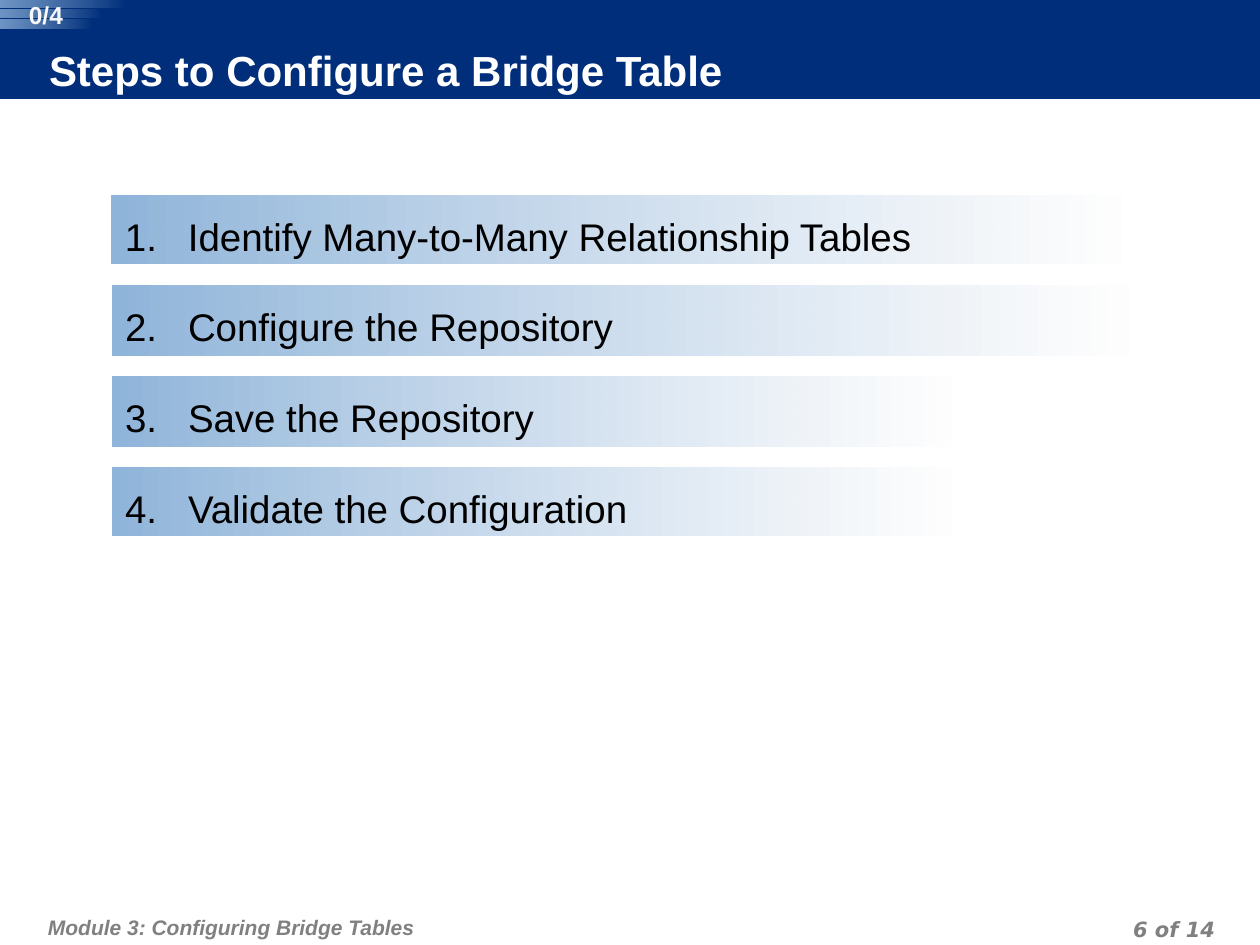
from dataclasses import dataclass
from typing import Optional

import pptx
import pptx.dml.color
import pptx.enum.shapes
import pptx.enum.text
import pptx.oxml
import pptx.oxml.ns
import pptx.util

EMU_PER_PX = 914400 / 126
Align = pptx.enum.text.PP_ALIGN
Anchor = pptx.enum.text.MSO_ANCHOR


@dataclass(frozen=True)
class Theme:
    navy: str = "002E7A"
    sky: str = "90B5DA"
    mist: str = "FEFEFE"
    white: str = "FFFFFF"
    counter: str = "F8F8F8"
    grey: str = "808080"
    black: str = "000000"
    font: str = "Arial"
    page_font: str = "DejaVu Sans"
    title_size: int = 24
    step_size: int = 22
    counter_size: int = 14
    footer_size: int = 12


THEME = Theme()


@dataclass(frozen=True)
class Box:
    left: int
    top: int
    width: int
    height: int


@dataclass(frozen=True)
class Stop:
    colour: str
    opacity: int = 100


@dataclass(frozen=True)
class Label:
    text: str
    box: Box
    size: int
    colour: str
    insets: tuple[int, int, int, int] = (0, 0, 0, 0)
    font: str = THEME.font
    bold: bool = True
    italic: bool = False
    align: Align = Align.LEFT
    anchor: Anchor = Anchor.TOP
    line_points: Optional[int] = None


@dataclass(frozen=True)
class Step:
    text: str
    box: Box


STEPS = [
    Step("Identify Many-to-Many Relationship Tables", Box(112, 196, 1010, 68)),
    Step("Configure the Repository", Box(112, 286, 1017, 70)),
    Step("Save the Repository", Box(112, 377, 839, 70)),
    Step("Validate the Configuration", Box(112, 468, 839, 68)),
]
STRIPES = [Box(0, 0, 127, 8), Box(0, 10, 103, 8), Box(0, 20, 92, 9)]
COUNTER = Label("0/4", Box(14, 0, 64, 29), THEME.counter_size, THEME.counter,
                align=Align.CENTER)
LABELS = [
    Label("Steps to Configure a Bridge Table", Box(49, 48, 992, 50),
          THEME.title_size, THEME.white, insets=(0, 0, 6, 6), anchor=Anchor.MIDDLE),
    Label("Module 3: Configuring Bridge Tables", Box(42, 895, 779, 50),
          THEME.footer_size, THEME.grey, insets=(6, 13, 6, 6), italic=True,
          line_points=18),
    Label("6 of 14", Box(927, 910, 294, 31), THEME.footer_size, THEME.grey,
          insets=(6, 0, 6, 0), font=THEME.page_font, italic=True,
          align=Align.RIGHT, line_points=18),
]


def px(length: int) -> pptx.util.Emu:
    return pptx.util.Emu(round(length * EMU_PER_PX))


def place(box: Box) -> tuple:
    return px(box.left), px(box.top), px(box.width), px(box.height)


def rgb(colour: str) -> pptx.dml.color.RGBColor:
    return pptx.dml.color.RGBColor.from_string(colour)


def add_bar(shapes, box: Box):
    bar = shapes.add_shape(pptx.enum.shapes.MSO_SHAPE.RECTANGLE, *place(box))
    bar.shadow.inherit = False
    bar.line.fill.background()
    return bar


def add_fading_bar(shapes, box: Box, right: Stop, left: Stop):
    bar = add_bar(shapes, box)
    bar.fill.gradient()
    bar.fill.gradient_angle = 180
    for grad_stop, stop in zip(bar.fill.gradient_stops, (right, left)):
        grad_stop.color.rgb = rgb(stop.colour)
    colours = bar.fill._xPr.iter(pptx.oxml.ns.qn("a:srgbClr"))
    for colour, stop in zip(list(colours), (right, left)):
        if stop.opacity < 100:
            alpha = pptx.oxml.parse_xml(
                f'<a:alpha {pptx.oxml.ns.nsdecls("a")} val="{stop.opacity * 1000}"/>')
            colour.append(alpha)
    return bar


def set_insets(frame, insets: tuple[int, int, int, int]) -> None:
    """Insets run left, top, right, bottom."""
    frame.margin_left, frame.margin_top, frame.margin_right, frame.margin_bottom = (
        px(inset) for inset in insets)


def style(paragraph, font: str, size: int, colour: str) -> None:
    paragraph.font.name = font
    paragraph.font.size = pptx.util.Pt(size)
    paragraph.font.color.rgb = rgb(colour)


def add_label(shapes, label: Label) -> None:
    frame = shapes.add_textbox(*place(label.box)).text_frame
    frame.word_wrap = True
    frame.vertical_anchor = label.anchor
    set_insets(frame, label.insets)
    paragraph = frame.paragraphs[0]
    paragraph.text = label.text
    paragraph.alignment = label.align
    if label.line_points:
        paragraph.line_spacing = pptx.util.Pt(label.line_points)
    style(paragraph, label.font, label.size, label.colour)
    paragraph.font.bold = label.bold
    paragraph.font.italic = label.italic


def number_paragraph(paragraph, number: int, indent: int) -> None:
    properties = paragraph._p.get_or_add_pPr()
    properties.set("marL", str(px(indent)))
    properties.set("indent", str(-px(indent)))
    properties.append(pptx.oxml.parse_xml(
        f'<a:buFont {pptx.oxml.ns.nsdecls("a")} typeface="{THEME.font}"/>'))
    properties.append(pptx.oxml.parse_xml(
        f'<a:buAutoNum {pptx.oxml.ns.nsdecls("a")} type="arabicPeriod" startAt="{number}"/>'))


def add_step(shapes, number: int, step: Step) -> None:
    bar = add_fading_bar(shapes, step.box, Stop(THEME.mist, 75), Stop(THEME.sky))
    frame = bar.text_frame
    frame.word_wrap = True
    frame.vertical_anchor = Anchor.TOP
    set_insets(frame, (13, 17, 13, 6))
    paragraph = frame.paragraphs[0]
    paragraph.text = step.text
    paragraph.alignment = Align.LEFT
    number_paragraph(paragraph, number, indent=63)
    style(paragraph, THEME.font, THEME.step_size, THEME.black)


def main() -> None:
    deck = pptx.Presentation()
    deck.slide_width, deck.slide_height = px(1260), px(945)
    shapes = deck.slides.add_slide(deck.slide_layouts[6]).shapes

    banner = add_bar(shapes, Box(0, 0, 1260, 99))
    banner.fill.solid()
    banner.fill.fore_color.rgb = rgb(THEME.navy)
    for label in LABELS:
        add_label(shapes, label)
    for number, step in enumerate(STEPS, start=1):
        add_step(shapes, number, step)

    progress = shapes.add_group_shape().shapes
    for stripe in STRIPES:
        add_fading_bar(progress, stripe, Stop(THEME.navy), Stop(THEME.sky, 76))
    add_label(progress, COUNTER)

    deck.save("out.pptx")


if __name__ == "__main__":
    main()
